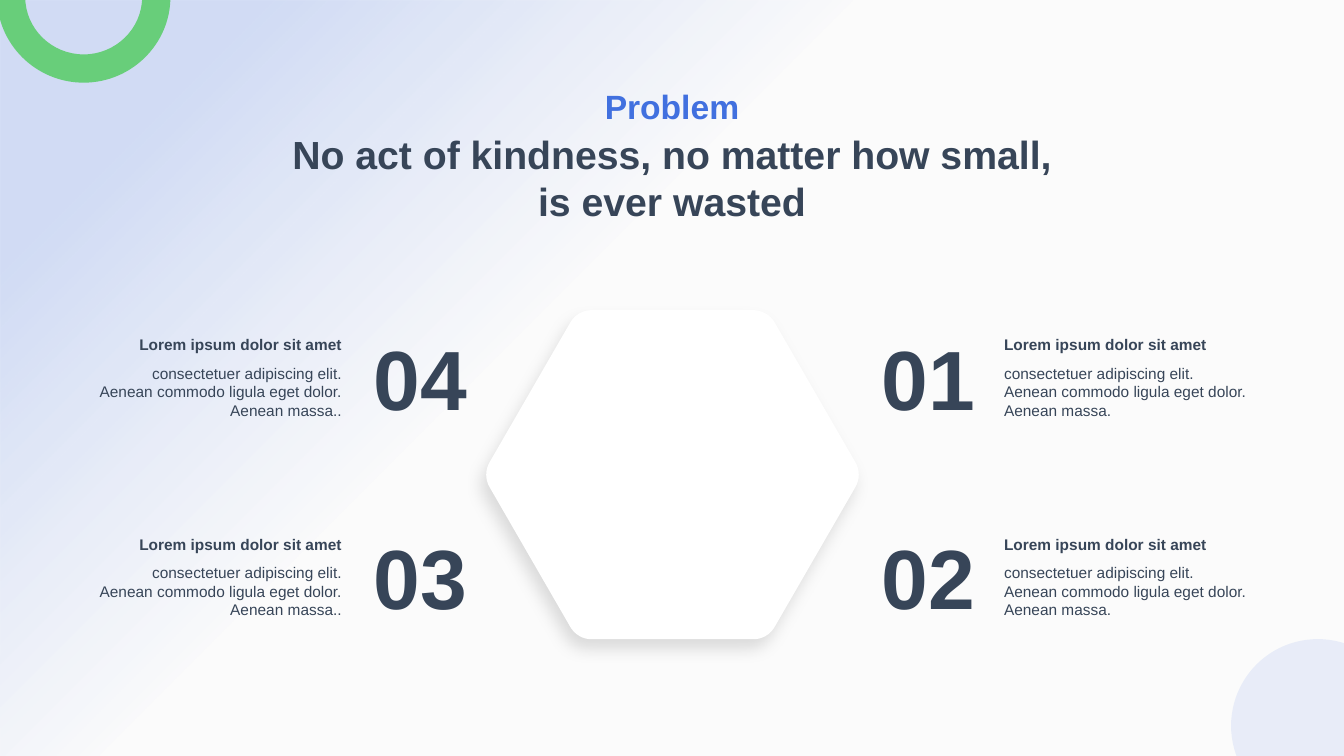
"""Build the problem slide: a headline and four numbered notes around a hexagon."""
from dataclasses import dataclass
from math import cos, pi, sin
from typing import NamedTuple

from lxml.etree import SubElement as Sub
from pptx import Presentation
from pptx.dml.color import RGBColor as RGB
from pptx.enum.shapes import MSO_SHAPE as Kind
from pptx.enum.text import MSO_ANCHOR as Anchor
from pptx.enum.text import MSO_AUTO_SIZE as Fit
from pptx.enum.text import PP_ALIGN as Align
from pptx.oxml.ns import qn
from pptx.shapes.autoshape import Shape
from pptx.slide import Slide
from pptx.util import Inches, Pt

Point = tuple[float, float]
Piece = list[Point]


@dataclass(frozen=True)
class Theme:
    font: str = "Arial"
    paper: RGB = RGB(0xFB, 0xFB, 0xFB)
    blue: RGB = RGB(0x41, 0x70, 0xDF)
    ink: RGB = RGB(0x37, 0x45, 0x58)
    white: RGB = RGB(0xFF, 0xFF, 0xFF)
    green: RGB = RGB(0x68, 0xCE, 0x7A)
    kicker: int = 24
    title: int = 28
    note: int = 11
    number: int = 60


class Box(NamedTuple):
    left: float
    top: float
    width: float
    height: float


@dataclass(frozen=True)
class Style:
    size: int
    color: RGB
    bold: bool = True
    align: Align = Align.LEFT
    anchor: Anchor = Anchor.TOP
    space: float = 1.0


@dataclass(frozen=True)
class Side:
    text_x: float
    width: float
    number_x: float
    align: Align
    number_align: Align
    body: str


@dataclass(frozen=True)
class Note:
    number: str
    side: Side
    top: float


LOOK = Theme()
WIDE, HIGH = 13.33, 7.5
HEAD = "Lorem ipsum dolor sit amet"
BODY = "consectetuer adipiscing elit. Aenean commodo ligula eget dolor. Aenean massa."
LEFT = Side(0.85, 2.64, 3.61, Align.RIGHT, Align.LEFT, BODY + ".")
RIGHT = Side(9.86, 2.62, 8.43, Align.LEFT, Align.RIGHT, BODY)
UPPER, LOWER = 3.28, 5.26
NOTES = (
    Note("01", RIGHT, UPPER),
    Note("02", RIGHT, LOWER),
    Note("04", LEFT, UPPER),
    Note("03", LEFT, LOWER),
)


def place(shape: Shape, box: Box) -> None:
    """Move and size a shape."""
    shape.left, shape.top, shape.width, shape.height = map(Inches, box)


def write(shape: Shape, text: str, style: Style) -> None:
    """Put one styled paragraph in a shape."""
    frame = shape.text_frame
    frame.text = text
    frame.word_wrap = True
    frame.auto_size = Fit.SHAPE_TO_FIT_TEXT
    frame.vertical_anchor = style.anchor
    line = frame.paragraphs[0]
    line.alignment = style.align
    line.line_spacing = style.space
    font = line.font
    font.name, font.size, font.bold = LOOK.font, Pt(style.size), style.bold
    font.color.rgb = style.color


def label(slide: Slide, box: Box, text: str, style: Style) -> None:
    """Add a text box."""
    write(slide.shapes.add_textbox(*map(Inches, box)), text, style)


def paint(shape: Shape, color: RGB) -> None:
    """Give a shape a flat fill with no line or shadow."""
    shape.fill.solid()
    shape.fill.fore_color.rgb = color
    shape.line.fill.background()
    shape.shadow.inherit = False


def fade(shape: Shape, *shares: int) -> None:
    """Set the opacity of each fill colour in percent."""
    for color, share in zip(list(shape.element.iter(qn("a:srgbClr"))), shares):
        Sub(color, qn("a:alpha"), val=str(share * 1000))


def outline(slide: Slide, start: Point, pieces: list[Piece], color: RGB) -> Shape:
    """Draw a closed outline whose pieces are lines (1 point) or curves (3 points)."""
    pen = slide.shapes.build_freeform(*map(Inches, start))
    dots = [(Inches(x), Inches(y)) for piece in pieces for x, y in piece]
    pen.add_line_segments(dots, close=True)
    shape = pen.convert_to_shape()
    lines = iter(list(shape.element.iter(qn("a:lnTo"))))
    for piece in pieces:
        first, *rest = [next(lines) for _ in piece]
        if rest:
            first.tag = qn("a:cubicBezTo")
        for line in rest:
            first.append(line[0])
            line.getparent().remove(line)
    paint(shape, color)
    return shape


def backdrop(slide: Slide) -> None:
    """Lay the pale page and its fading blue corner behind everything."""
    slide.background.fill.solid()
    slide.background.fill.fore_color.rgb = LOOK.paper
    wash = slide.shapes.add_shape(Kind.RECTANGLE, 0, 0, Inches(WIDE), Inches(HIGH))
    paint(wash, LOOK.blue)
    wash.fill.gradient()
    wash.fill.gradient_angle = 315
    for stop, spot in zip(wash.fill.gradient_stops, (0.13, 0.41)):
        stop.color.rgb = LOOK.blue
        stop.position = spot
    fade(wash, 22, 0)
    slide.shapes.element.insert(2, wash.element)


def hexagon(slide: Slide) -> None:
    """Draw the rounded hexagon by turning one corner six times."""
    corner = ((1.81, -0.13), (1.86, -0.05), (1.86, 0.05), (1.81, 0.13))
    pieces = []
    for turn in range(6):
        c, s = cos(pi / 3 * turn), sin(pi / 3 * turn)
        first, *bend = [(6.67 + x * c - y * s, 4.71 + x * s + y * c) for x, y in corner]
        pieces += [[first], bend]
    shape = outline(slide, pieces[0][0], pieces[1:], LOOK.white)
    effects = next(shape.element.iter(qn("a:effectLst")))
    shade = Sub(effects, qn("a:outerShdw"), blurRad=str(Pt(12)), dist=str(Pt(8)),
                dir=str(117 * 60000), algn="ctr", rotWithShape="0")
    Sub(Sub(shade, qn("a:srgbClr"), val="000000"), qn("a:alpha"), val="13000")


def bow(mid: Point, wide: float, high: float) -> list[Piece]:
    """Give the two curves of a lower half ellipse, from left to right."""
    x, y = mid
    pull = 0.55
    return [
        [(x - wide, y + high * pull), (x - wide * pull, y + high), (x, y + high)],
        [(x + wide * pull, y + high), (x + wide, y + high * pull), (x + wide, y)],
    ]


def ring(slide: Slide) -> None:
    """Draw the green half ring in the top corner."""
    x, y = hub = (0.83, -0.03)
    wide, thin = 0.86, 0.58
    pieces = bow(hub, wide, 0.85) + [[(x + thin, y)]] + bow(hub, -thin, 0.57)
    outline(slide, (x - wide, y), pieces, LOOK.green)


def show(slide: Slide, note: Note) -> None:
    """Add a heading, its text and its number."""
    side, top = note.side, note.top
    label(slide, Box(side.text_x, top, side.width, 0.29), HEAD,
          Style(LOOK.note, LOOK.ink, align=side.align))
    label(slide, Box(side.text_x, top + 0.28, side.width, 0.66), side.body,
          Style(LOOK.note, LOOK.ink, bold=False, align=side.align))
    label(slide, Box(side.number_x, top - 0.1, 1.34, 1.11), note.number,
          Style(LOOK.number, LOOK.ink, align=side.number_align, anchor=Anchor.MIDDLE))


def main() -> None:
    """Build and save the slide."""
    deck = Presentation()
    deck.slide_width, deck.slide_height = Inches(WIDE), Inches(HIGH)
    slide = deck.slides.add_slide(deck.slide_layouts[5])
    backdrop(slide)
    label(slide, Box(2.76, 0.64, 7.81, 0.66), "Problem",
          Style(LOOK.kicker, LOOK.blue, align=Align.CENTER, anchor=Anchor.BOTTOM, space=1.5))
    title = slide.shapes.title
    place(title, Box(2.76, 1.24, 7.81, 1.04))
    write(title, "No act of kindness, no matter how small, is ever wasted",
          Style(LOOK.title, LOOK.ink, align=Align.CENTER))
    hexagon(slide)
    for note in NOTES:
        show(slide, note)
    disc = slide.shapes.add_shape(Kind.OVAL, *map(Inches, Box(12.21, 6.34, 1.72, 1.72)))
    paint(disc, LOOK.blue)
    fade(disc, 10)
    ring(slide)
    deck.save("out.pptx")


if __name__ == "__main__":
    main()
